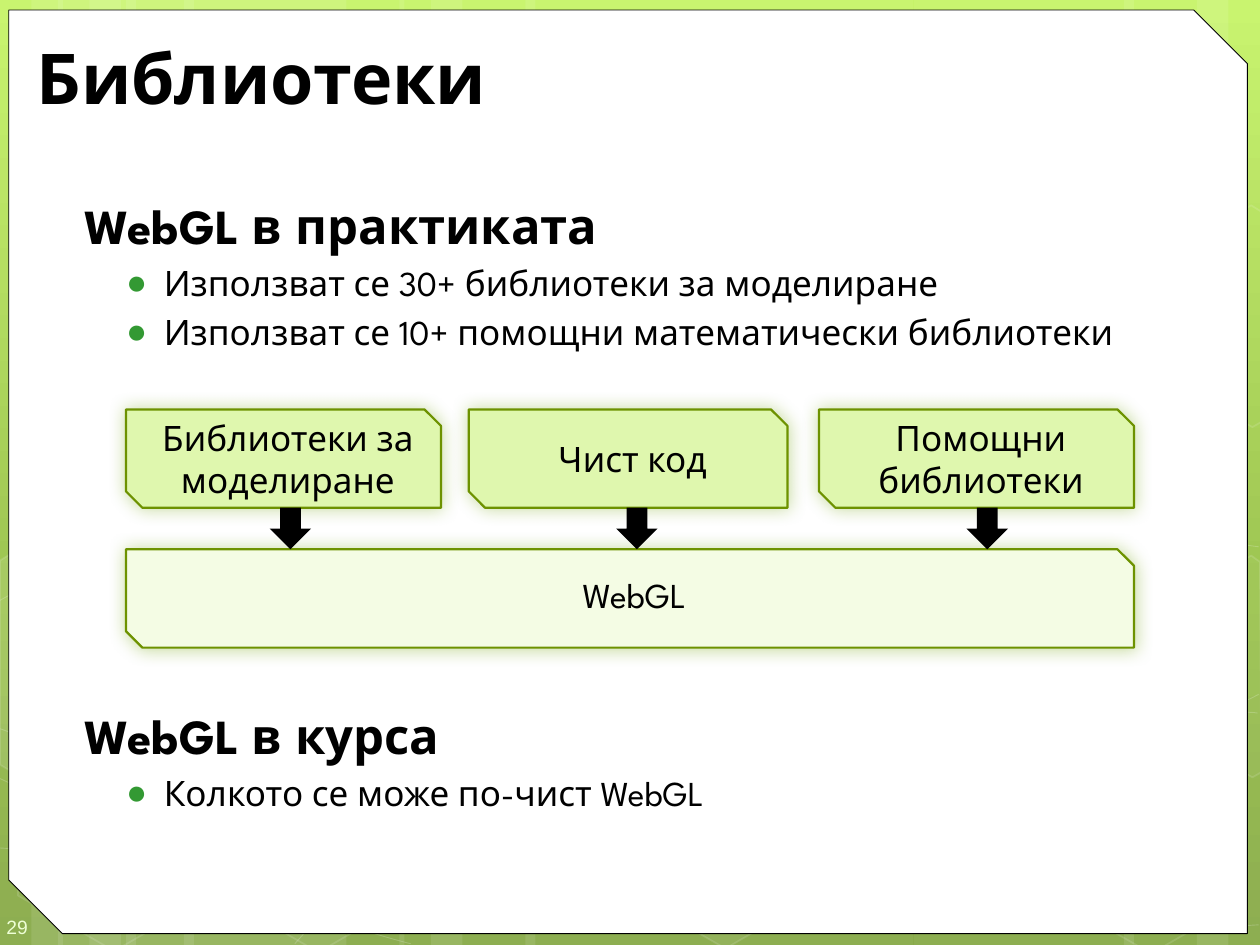
from pptx import Presentation
from pptx.dml.color import RGBColor
from pptx.enum.shapes import MSO_SHAPE
from pptx.enum.text import MSO_ANCHOR, MSO_AUTO_SIZE, PP_ALIGN
from pptx.oxml import parse_xml
from pptx.oxml.ns import nsdecls, qn
from pptx.util import Inches, Pt

RECT, HEXAGON = MSO_SHAPE.RECTANGLE, MSO_SHAPE.HEXAGON
SNIPPED, ARROW = MSO_SHAPE.SNIP_2_DIAG_RECTANGLE, MSO_SHAPE.RIGHT_ARROW
LEFT, CENTER = PP_ALIGN.LEFT, PP_ALIGN.CENTER
TOP, MIDDLE = MSO_ANCHOR.TOP, MSO_ANCHOR.MIDDLE
FONT = "League Spartan"
A = nsdecls("a")

BLACK = RGBColor(0x00, 0x00, 0x00)
WHITE = RGBColor(0xFF, 0xFF, 0xFF)
BULLET = RGBColor(0x33, 0x99, 0x33)
BOX_FILL = RGBColor(0xDF, 0xF7, 0xAE)
BASE_FILL = RGBColor(0xF4, 0xFC, 0xE4)
BOX_LINE = RGBColor(0x6D, 0x92, 0x00)
GLOW = RGBColor(0x74, 0xA5, 0x10)
NUMBER = RGBColor(0xEE, 0xFF, 0xD6)
BACKGROUND = [(0, RGBColor(0xC3, 0xF3, 0x5F)), (62, RGBColor(0x93, 0xBF, 0x3F)),
              (100, RGBColor(0x81, 0xA5, 0x3E))]

STRIPES = [(1, 1.75), (0, 0.5), (0.25, 0.83), (1.46, 1.75), (0.46, 0.5), (0.71, 0.83),
           (7.25, 1.75), (9.5, 0.5), (8.92, 0.83), (4.17, 3.08), (3.17, 0.5), (3.42, 0.83)]
# Each curve: a start point, then Bezier segments (control, control, end)
CURVES = [
    ((-0.01, 6.73), [(0.53, 6.76, 1.07, 6.79, 1.82, 6.78), (2.57, 6.77, 3.49, 6.75, 4.5, 6.65),
                     (5.5, 6.55, 6.92, 6.36, 7.83, 6.17), (8.75, 5.98, 9.69, 5.68, 9.99, 5.51)]),
    ((-0.01, 4.77), [(0.28, 4.61, 0.56, 4.46, 1.13, 4.31), (1.7, 4.16, 2.5, 3.94, 3.39, 3.87),
                     (4.28, 3.8, 5.36, 3.79, 6.46, 3.87), (7.56, 3.95, 9.39, 4.26, 9.99, 4.34)]),
    ((-0.02, 6.17), [(1.18, 6.72, 2.39, 7.27, 3.26, 7.49)]),
    ((-0.01, 5.78), [(0.3, 5.89, 0.61, 6, 1.2, 6.16), (1.78, 6.31, 2.65, 6.56, 3.48, 6.73),
                     (4.32, 6.9, 5.37, 7.08, 6.2, 7.18), (7.02, 7.29, 7.91, 7.33, 8.44, 7.36),
                     (8.97, 7.4, 9.11, 7.38, 9.37, 7.38), (9.62, 7.37, 9.81, 7.35, 9.99, 7.34)]),
    ((2.34, 7.49), [(2.52, 7.29, 2.69, 7.09, 2.94, 6.91), (3.18, 6.73, 3.51, 6.53, 3.79, 6.39),
                    (4.07, 6.25, 4.24, 6.19, 4.61, 6.09), (4.98, 5.99, 5.65, 5.85, 6, 5.78),
                    (6.35, 5.71, 6.41, 5.71, 6.72, 5.69), (7.03, 5.66, 7.51, 5.63, 7.86, 5.62),
                    (8.2, 5.61, 8.78, 5.62, 8.78, 5.62), (9, 5.62, 9.22, 5.62, 9.44, 5.62),
                    (9.63, 5.63, 9.8, 5.64, 9.88, 5.65), (9.97, 5.66, 9.94, 5.65, 9.98, 5.66)]),
]
# Left, top, fill opacity, line opacity
HEXAGONS = [(3.28, 3.13, 10, 12), (4.07, 4.51, 0, 12), (4.08, 1.74, 7, 8), (3.26, 0.36, 4, 8),
            (4.88, 5.89, 6, 12), (0.03, 5.91, 0, 12), (0.06, 3.12, 7, 8), (0.85, 4.51, 0, 12),
            (1.65, 5.92, 0, 12), (1.67, 3.13, 7, 8), (0.87, 1.71, 0, 12), (7.44, 4.53, 10, 12),
            (8.26, 5.93, 0, 12), (8.26, 3.14, 7, 8)]
# Hexagons cut by the slide edge: fill opacity, points
CUT_HEXAGONS = [
    (10, [(0, 4.45), (0.11, 4.38), (0.87, 4.82), (0.87, 5.7), (0.12, 6.14), (0, 6.07)]),
    (4, [(9.18, 4.85), (9.93, 4.41), (10, 4.46), (10.01, 6.13), (9.94, 6.17), (9.17, 5.73)]),
    (0, [(9.18, 2.07), (9.93, 1.63), (10.01, 1.68), (10.01, 3.35), (9.94, 3.39), (9.17, 2.95)]),
]

BOX_TOP, BOX_H, BASE_TOP = 3.25, 0.78, 4.36
# Left, width, text, left of the arrow below
BOXES = [(1, 2.5, "Библиотеки за моделиране", 2.14), (6.5, 2.5, "Помощни библиотеки", 7.67),
         (3.72, 2.53, "Чист код", 4.89)]
ARROW_SIZE, INDENT = 0.33, 0.07


def set_alpha(color_parent, percent):
    color = next(color_parent.iter(qn("a:srgbClr")))
    color.append(parse_xml(f'<a:alpha {A} val="{percent * 1000}"/>'))


def paint(s, fill=None, line=None, width=1, fill_alpha=100, line_alpha=100):
    s.shadow.inherit = False
    if fill is None or fill_alpha == 0:
        s.fill.background()
    else:
        s.fill.solid()
        s.fill.fore_color.rgb = fill
        if fill_alpha < 100:
            set_alpha(s._element.spPr.find(qn("a:solidFill")), fill_alpha)
    if line is None:
        s.line.fill.background()
    else:
        s.line.color.rgb = line
        s.line.width = Pt(width)
        if line_alpha < 100:
            set_alpha(s._element.spPr.find(qn("a:ln")), line_alpha)


def add_shape(slide, kind, x, y, w, h, rotation=0, **style):
    s = slide.shapes.add_shape(kind, Inches(x), Inches(y), Inches(w), Inches(h))
    s.rotation = rotation
    paint(s, **style)
    return s


def add_path(slide, points, close=False, **style):
    points = [(Inches(x), Inches(y)) for x, y in points]
    builder = slide.shapes.build_freeform(*points[0])
    builder.add_line_segments(points[1:], close=close)
    s = builder.convert_to_shape()
    paint(s, **style)
    return s


def add_curve(slide, start, segments, **style):
    """Draw a path through all points, then turn each three lines into one Bezier."""
    points = [start] + [seg[i:i + 2] for seg in segments for i in (0, 2, 4)]
    s = add_path(slide, points, **style)
    lines = list(s._element.iter(qn("a:lnTo")))
    for i in range(0, len(lines), 3):
        bezier = parse_xml(f"<a:cubicBezTo {A}/>")
        lines[i].addprevious(bezier)
        for line in lines[i:i + 3]:
            bezier.append(line[0])
            line.getparent().remove(line)


def set_frame(tf, anchor=TOP, insets=(0.1, 0.05, 0.1, 0.05)):
    tf.word_wrap = True
    tf.auto_size = MSO_AUTO_SIZE.NONE
    tf.vertical_anchor = anchor
    tf.margin_left, tf.margin_top, tf.margin_right, tf.margin_bottom = map(Inches, insets)


def write(p, text, size=20, font=FONT, color=BLACK, bold=False, align=LEFT,
          before=0, indent=0, hanging=0, bullet=False, spacing=None):
    pPr = p._p.get_or_add_pPr()
    pPr.set("marL", str(Inches(indent)))
    pPr.set("indent", str(-Inches(hanging)))
    marks = [f'<a:buClr {A}><a:srgbClr val="{BULLET}"/></a:buClr>',
             f'<a:buFont {A} typeface="Arial"/>', f'<a:buChar {A} char="●"/>']
    for xml in marks if bullet else [f"<a:buNone {A}/>"]:
        pPr.append(parse_xml(xml))
    p.alignment, p.space_before, p.line_spacing = align, Pt(before), spacing
    r = p.add_run()
    r.text = text
    r.font.name, r.font.size, r.font.bold = font, Pt(size), bold
    r.font.color.rgb = color


def place(s, x, y, w, h):
    s.left, s.top, s.width, s.height = map(Inches, (x, y, w, h))


def add_backdrop(slide):
    slide.background.fill.gradient()
    slide.background.fill.gradient_angle = 270
    stops = next(slide._element.iter(qn("a:gsLst")))
    for stop in list(stops):
        stops.remove(stop)
    for pos, color in BACKGROUND:
        stops.append(parse_xml(f'<a:gs {A} pos="{pos * 1000}"><a:srgbClr val="{color}"/></a:gs>'))
    for x, w in STRIPES:
        add_shape(slide, RECT, x, 0, w, 7.5, fill=WHITE, fill_alpha=10)
    for start, segments in CURVES:
        add_curve(slide, start, segments, line=WHITE, width=0.5, line_alpha=20)
    for x, y, alpha, line_alpha in HEXAGONS:
        s = add_shape(slide, HEXAGON, x, y, 1.75, 1.52, rotation=30, fill=WHITE,
                      fill_alpha=alpha, line=WHITE, line_alpha=line_alpha)
        s.adjustments[0] = 0.285
    for alpha, points in CUT_HEXAGONS:
        add_path(slide, points, True, fill=WHITE, fill_alpha=alpha, line=WHITE, line_alpha=12)
    panel = add_shape(slide, SNIPPED, 0.07, 0.08, 9.83, 7.33, fill=WHITE, line=BLACK, width=0.5)
    panel.adjustments[1] = 0.058


def add_box(slide, x, y, w, text, fill, **style):
    """Add a snipped box with a soft green glow."""
    s = add_shape(slide, SNIPPED, x, y, w, BOX_H, fill=fill, line=BOX_LINE, width=1.25)
    effects = s._element.spPr.find(qn("a:effectLst"))
    effects.append(parse_xml(f'<a:outerShdw {A} blurRad="{Pt(10)}" dist="0" dir="2700000">'
                             f'<a:srgbClr val="{GLOW}"/></a:outerShdw>'))
    set_alpha(effects, 40)
    set_frame(s.text_frame, MIDDLE, (0, 0.05, 0, 0.05))
    write(s.text_frame.paragraphs[0], text, align=CENTER, indent=INDENT, **style)


def add_body(body):
    place(body, 0.5, 1.5, 9.42, 5.92)
    set_frame(body.text_frame)
    heading = dict(size=28, bold=True, indent=INDENT)
    item = dict(before=4, indent=0.7, hanging=0.3, bullet=True)
    rows = [("WebGL в практиката", heading),
            ("Използват се 30+ библиотеки за моделиране", item),
            ("Използват се 10+ помощни математически библиотеки", item),
            ("WebGL в курса", dict(heading, before=202)),
            ("Колкото се може по-чист WebGL", item)]
    for i, (text, style) in enumerate(rows):
        p = body.text_frame.add_paragraph() if i else body.text_frame.paragraphs[0]
        p.level = 1 if style is item else 0
        write(p, text, **style)


def main():
    prs = Presentation()
    prs.slide_width, prs.slide_height = Inches(10), Inches(7.5)
    slide = prs.slides.add_slide(prs.slide_layouts[1])
    title, body = slide.placeholders
    add_backdrop(slide)
    number = slide.shapes.add_textbox(Inches(0), Inches(7.13), Inches(0.58), Inches(0.4))
    set_frame(number.text_frame, MIDDLE, (0.05, 0.15, 0, 0.1))
    write(number.text_frame.paragraphs[0], "29", size=11, font="Arial", color=NUMBER)
    for s in (title, body):  # bring the placeholders in front of the backdrop
        slide.shapes._spTree.append(s._element)
    place(title, 0.19, 0.25, 9.47, 0.71)
    set_frame(title.text_frame, MIDDLE)
    write(title.text_frame.paragraphs[0], "Библиотеки", size=40, bold=True)
    add_body(body)
    add_box(slide, 1, BASE_TOP, 8, "WebGL", BASE_FILL, spacing=Pt(20))
    for x, w, text, arrow_x in BOXES:
        add_box(slide, x, BOX_TOP, w, text, BOX_FILL)
        add_shape(slide, ARROW, arrow_x, BASE_TOP - ARROW_SIZE, ARROW_SIZE, ARROW_SIZE,
                  rotation=90, fill=BLACK)
    prs.save("out.pptx")


if __name__ == "__main__":
    main()
